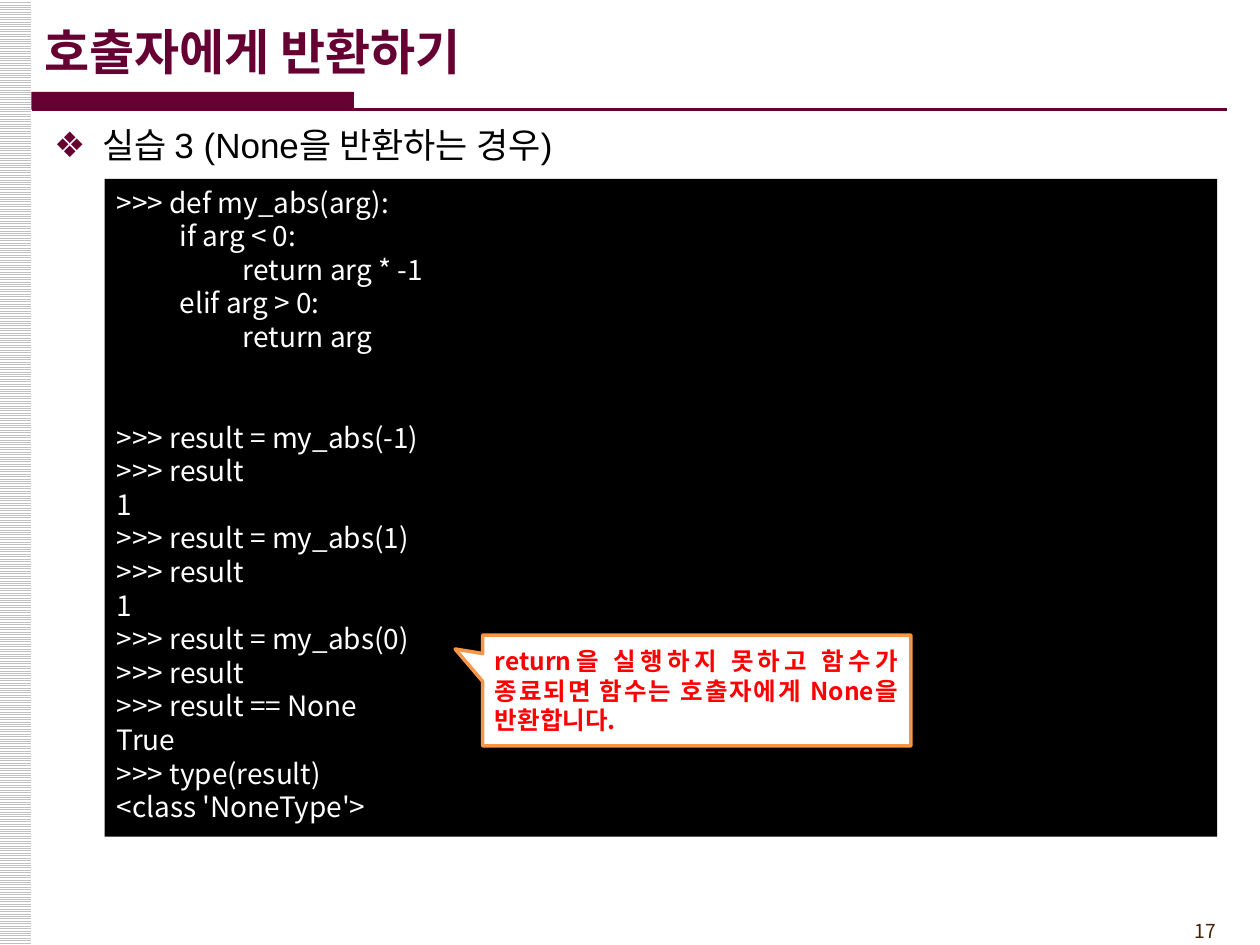
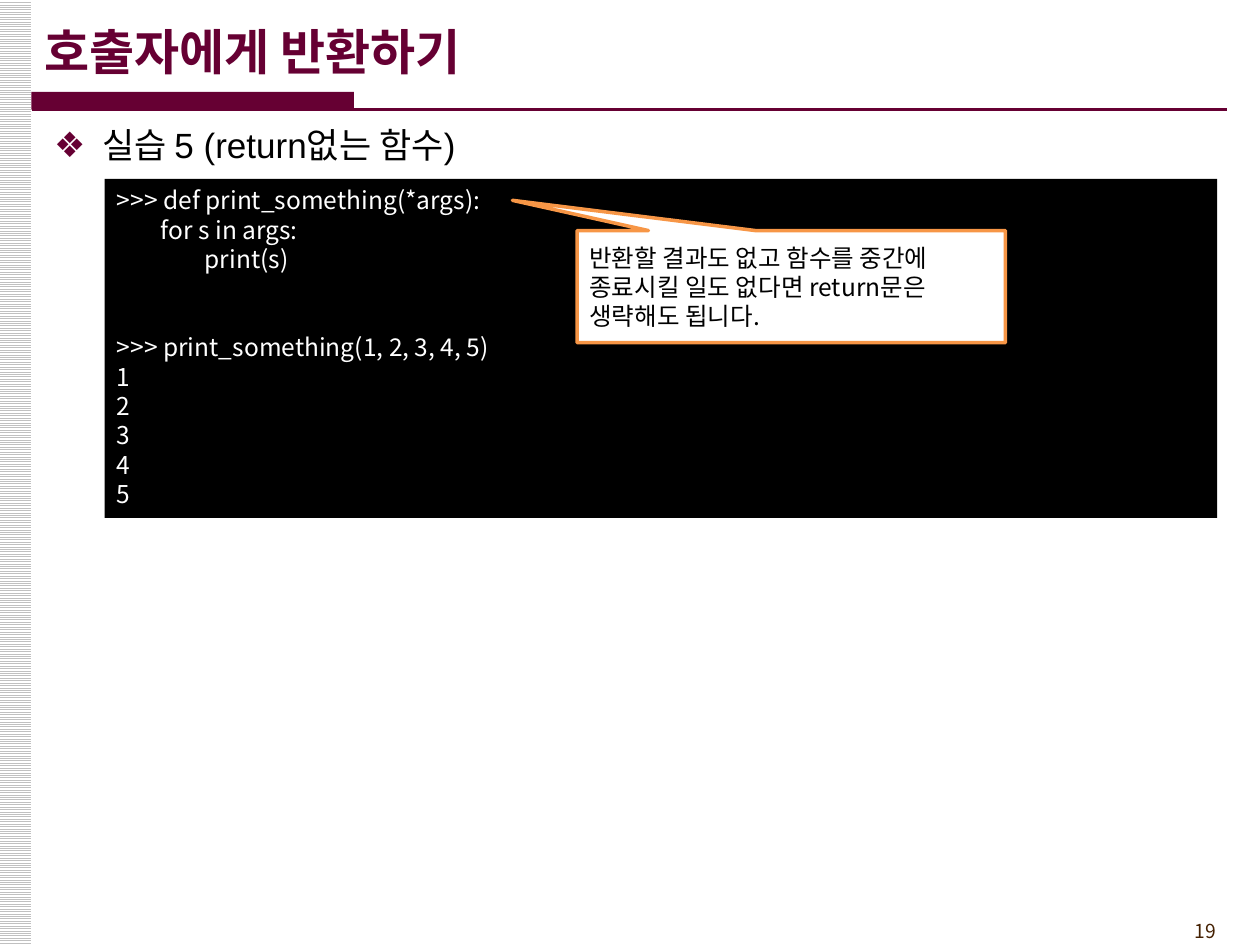
"""Build two Korean lesson slides on returning values from Python functions."""

import dataclasses

import lxml.etree
import pptx
import pptx.dml.color
import pptx.enum.dml
import pptx.enum.shapes
import pptx.enum.text
import pptx.oxml.ns
import pptx.util

Inches = pptx.util.Inches
Pt = pptx.util.Pt
Align = pptx.enum.text.PP_ALIGN
Anchor = pptx.enum.text.MSO_ANCHOR
ShapeKind = pptx.enum.shapes.MSO_SHAPE
qualified = pptx.oxml.ns.qn


@dataclasses.dataclass(frozen=True)
class Theme:
    accent: str = "660033"
    white: str = "FFFFFF"
    black: str = "000000"
    red: str = "FF0000"
    stripe: str = "C0C0C0"
    callout_line: str = "F79646"
    page_number: str = "452103"
    heading_font: str = "Arial"
    text_font: str = "Noto Sans CJK KR"
    title_size: int = 28
    list_size: int = 20
    callout_size: int = 14
    page_size: int = 11


theme = Theme()
rgb = pptx.dml.color.RGBColor.from_string


def write_text(shape, text, *, size, color, font=theme.text_font, bold=False,
               align=Align.LEFT, anchor=Anchor.TOP, spacing=1.2):
    """Write one paragraph per line; two empty lines become space before."""
    frame = shape.text_frame
    frame.word_wrap = True
    frame.auto_size = pptx.enum.text.MSO_AUTO_SIZE.NONE
    frame.vertical_anchor = anchor
    paragraph = frame.paragraphs[0]
    for block_index, block in enumerate(text.split("\n\n\n")):
        for line_index, line in enumerate(block.split("\n")):
            if block_index or line_index:
                paragraph = frame.add_paragraph()
            starts_later_block = block_index and not line_index
            paragraph.space_before = Pt(2 * size * spacing if starts_later_block else 0)
            paragraph.alignment = align
            if spacing:
                paragraph.line_spacing = Pt(size * spacing)
            run = paragraph.add_run()
            run.text = line
            run.font.name = font
            run.font.size = Pt(size)
            run.font.bold = bold
            run.font.color.rgb = rgb(color)
            lxml.etree.SubElement(run.font._element, qualified("a:ea"),
                                  typeface=theme.text_font)


def add_box(slide, kind, bounds, fill):
    """Add a flat shape with a solid fill and no outline."""
    shape = slide.shapes.add_shape(kind, *map(Inches, bounds))
    shape.shadow.inherit = False
    shape.fill.solid()
    shape.fill.fore_color.rgb = rgb(fill)
    shape.line.fill.background()
    return shape


lessons = [
    {
        "page": "17",
        "topic": "실습 3 (None을 반환하는 경우)",
        "code": """>>> def my_abs(arg):
\tif arg < 0:
\t\treturn arg * -1
\telif arg > 0:
\t\treturn arg


>>> result = my_abs(-1)
>>> result
1
>>> result = my_abs(1)
>>> result
1
>>> result = my_abs(0)
>>> result
>>> result == None
True
>>> type(result)
<class 'NoneType'>""",
        "code_size": 16,
        "code_height": 5.22,
        "note": "return을 실행하지 못하고 함수가 종료되면 함수는 호출자에게 None을 반환합니다.",
        "note_bounds": (3.83, 5.04, 3.4, 0.88),
        "note_pointer": (-0.564, -0.374),
        "note_format": {"color": theme.red, "bold": True, "align": Align.JUSTIFY},
    },
    {
        "page": "19",
        "topic": "실습 5 (return없는 함수)",
        "code": """>>> def print_something(*args):
        for s in args:
                print(s)


>>> print_something(1, 2, 3, 4, 5)
1
2
3
4
5""",
        "code_size": 14,
        "code_height": 2.69,
        "note": "반환할 결과도 없고 함수를 중간에 종료시킬 일도 없다면 return문은 생략해도 됩니다.",
        "note_bounds": (4.58, 1.83, 3.4, 0.89),
        "note_pointer": (-0.651, -0.77),
        "note_format": {"color": theme.black},
    },
]

presentation = pptx.Presentation()
presentation.slide_width = Inches(10)
presentation.slide_height = Inches(7.5)

for lesson in lessons:
    slide = presentation.slides.add_slide(presentation.slide_layouts[1])

    side_band = add_box(slide, ShapeKind.RECTANGLE, (-0.01, 0, 0.26, 7.5), theme.white)
    side_band.fill.patterned()
    side_band.fill.pattern = pptx.enum.dml.MSO_PATTERN.LIGHT_HORIZONTAL
    side_band.fill.fore_color.rgb = rgb(theme.stripe)
    side_band.fill.back_color.rgb = rgb(theme.white)

    add_box(slide, ShapeKind.RECTANGLE, (0.25, 0.73, 2.56, 0.14), theme.accent)
    title_rule = slide.shapes.add_connector(
        pptx.enum.shapes.MSO_CONNECTOR.STRAIGHT,
        Inches(0.25), Inches(0.87), Inches(9.74), Inches(0.87))
    title_rule.line.color.rgb = rgb(theme.accent)
    title_rule.line.width = Pt(1.5)
    lxml.etree.SubElement(title_rule.element.spPr, qualified("a:effectLst"))

    page_number = slide.shapes.add_textbox(*map(Inches, (8.92, 7.25, 0.83, 0.29)))
    write_text(page_number, lesson["page"], size=theme.page_size,
               color=theme.page_number, align=Align.RIGHT)

    title = slide.shapes.title
    title.left, title.top, title.width, title.height = map(Inches, (0.25, 0.09, 8.27, 0.63))
    write_text(title, "호출자에게 반환하기", size=theme.title_size, color=theme.accent,
               font=theme.heading_font, bold=True, anchor=Anchor.MIDDLE, spacing=0)

    body = slide.placeholders[1]
    body.left, body.top, body.width, body.height = map(Inches, (0.33, 0.92, 9.5, 6.25))
    write_text(body, lesson["topic"], size=theme.list_size, color=theme.black,
               font=theme.heading_font, spacing=1.25)
    properties = body.text_frame.paragraphs[0]._p.get_or_add_pPr()
    properties.set("marL", str(Inches(0.38)))
    properties.set("indent", str(Inches(-0.38)))
    bullet_color = lxml.etree.SubElement(properties, qualified("a:buClr"))
    lxml.etree.SubElement(bullet_color, qualified("a:srgbClr"), val=theme.accent)
    lxml.etree.SubElement(properties, qualified("a:buFont"), typeface=theme.heading_font)
    lxml.etree.SubElement(properties, qualified("a:buChar"), char="❖")

    code_panel = add_box(slide, ShapeKind.RECTANGLE,
                         (0.83, 1.42, 8.83, lesson["code_height"]), theme.black)
    write_text(code_panel, lesson["code"], size=lesson["code_size"],
               color=theme.white, align=Align.JUSTIFY)

    callout = add_box(slide, ShapeKind.RECTANGULAR_CALLOUT, lesson["note_bounds"], theme.white)
    callout.line.color.rgb = rgb(theme.callout_line)
    callout.line.width = Pt(2)
    callout.adjustments[0], callout.adjustments[1] = lesson["note_pointer"]
    write_text(callout, lesson["note"], size=theme.callout_size,
               anchor=Anchor.MIDDLE, **lesson["note_format"])

presentation.save("out.pptx")
